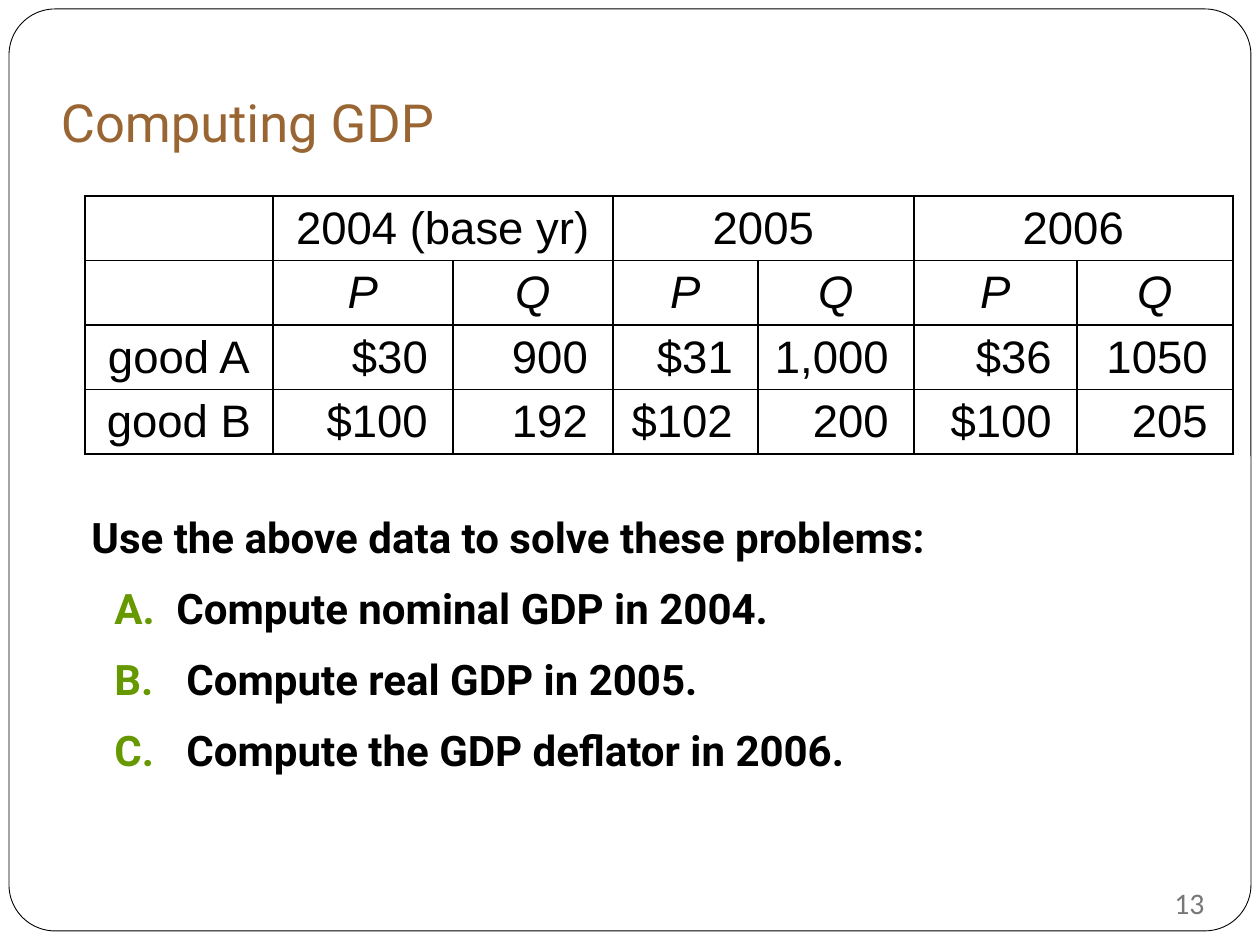
from itertools import pairwise

from lxml import etree
from pptx import Presentation
from pptx.dml.color import RGBColor
from pptx.enum.shapes import MSO_SHAPE
from pptx.enum.text import MSO_ANCHOR, PP_ALIGN
from pptx.oxml.ns import qn
from pptx.util import Emu, Pt

EMU_PER_PX = 914400 / 126
TITLE_ONLY = 5
LEFT, CENTER, RIGHT = PP_ALIGN.LEFT, PP_ALIGN.CENTER, PP_ALIGN.RIGHT
TOP, MIDDLE, BOTTOM = MSO_ANCHOR.TOP, MSO_ANCHOR.MIDDLE, MSO_ANCHOR.BOTTOM
ROUNDED = MSO_SHAPE.ROUNDED_RECTANGLE

BLACK = RGBColor(0x00, 0x00, 0x00)
WHITE = RGBColor(0xFF, 0xFF, 0xFF)
BROWN = RGBColor(0x99, 0x66, 0x33)
GREEN = RGBColor(0x66, 0x99, 0x00)
GRAY = RGBColor(0x77, 0x77, 0x77)

COLUMN_EDGES = [85, 273, 453, 613, 758, 914, 1077, 1233]
ROW_EDGES = [196, 259, 323, 387, 450]
GDP_ROWS = [
    ["", "2004 (base yr)", "", "2005", "", "2006", ""],
    ["", "P", "Q", "P", "Q", "P", "Q"],
    ["good A", "$30", "900", "$31", "1,000", "$36", "1050"],
    ["good B", "$100", "192", "$102", "200", "$100", "205"],
]
# Letter, question and left edge of the question inside the text box
PROBLEMS = [
    ("A.", "Compute nominal GDP in 2004.", 85),
    ("B.", "Compute real GDP in 2005.", 95),
    ("C.", "Compute the GDP deflator in 2006.", 95),
]
LETTER_LEFT = 23


def px(length):
    return Emu(round(length * EMU_PER_PX))


def write(paragraph, text, *, size, font, color=BLACK, bold=False,
          italic=False, align=LEFT):
    paragraph.alignment = align
    run = paragraph.add_run()
    run.text = text
    run.font.size = Pt(size)
    run.font.name = font
    run.font.bold = bold
    run.font.italic = italic
    run.font.color.rgb = color


def set_borders(cell, color, width):
    properties = cell._tc.get_or_add_tcPr()
    for position, side in enumerate(("lnL", "lnR", "lnT", "lnB")):
        line = etree.Element(qn(f"a:{side}"), w=str(Pt(width)))
        fill = etree.SubElement(line, qn("a:solidFill"))
        etree.SubElement(fill, qn("a:srgbClr"), val=str(color))
        properties.insert(position, line)


class SlideBuilder:
    """Holds the style and the slide that is being filled."""

    heading_font = "Roboto"
    table_font = "Arial"
    number_font = "Calibri"

    def __init__(self, slide):
        self.slide = slide

    def frame(self, left, top, width, height):
        """Add the rounded page border behind everything else."""
        shape = self.slide.shapes.add_shape(
            ROUNDED, px(left), px(top), px(width), px(height))
        shape.shadow.inherit = False
        shape.adjustments[0] = 0.05
        shape.fill.solid()
        shape.fill.fore_color.rgb = WHITE
        shape.line.color.rgb = BLACK
        shape.line.width = Pt(0.5)
        self.slide.shapes._spTree.insert(2, shape._element)

    def title(self, text, left, top, width, height):
        title = self.slide.shapes.title
        title.left, title.top = px(left), px(top)
        title.width, title.height = px(width), px(height)
        text_frame = title.text_frame
        text_frame.margin_left = text_frame.margin_right = px(8)
        text_frame.margin_bottom = px(18)
        text_frame.vertical_anchor = BOTTOM
        write(text_frame.paragraphs[0], text, size=30,
              font=self.heading_font, color=BROWN)

    def text_box(self, left, top, width, height, anchor=TOP):
        box = self.slide.shapes.add_textbox(
            px(left), px(top), px(width), px(height))
        text_frame = box.text_frame
        text_frame.word_wrap = True
        text_frame.vertical_anchor = anchor
        return text_frame

    def problems(self, heading, problems, *place):
        text_frame = self.text_box(*place)
        style = {"size": 24, "font": self.heading_font, "bold": True}
        write(text_frame.paragraphs[0], heading, **style)
        for letter, question, question_left in problems:
            paragraph = text_frame.add_paragraph()
            paragraph.space_before = Pt(10.5)
            paragraph.line_spacing = 1.05
            properties = paragraph._p.get_or_add_pPr()
            properties.set("marL", str(px(question_left)))
            properties.set("indent", str(px(LETTER_LEFT - question_left)))
            write(paragraph, f"{letter}\t", color=GREEN, **style)
            write(paragraph, question, **style)

    def page_number(self, number, *place):
        text_frame = self.text_box(*place, anchor=MIDDLE)
        write(text_frame.paragraphs[0], str(number), size=17,
              font=self.number_font, color=GRAY)

    def table(self, rows, column_edges, row_edges):
        """Add the table; each first-row label spans two columns."""
        left, top = column_edges[0], row_edges[0]
        table = self.slide.shapes.add_table(
            len(rows), len(rows[0]), px(left), px(top),
            px(column_edges[-1] - left), px(row_edges[-1] - top)).table
        table.first_row = table.horz_banding = False
        for column, (start, end) in zip(table.columns, pairwise(column_edges)):
            column.width = px(end - start)
        for row, (start, end) in zip(table.rows, pairwise(row_edges)):
            row.height = px(end - start)
        for row_index, row in enumerate(rows):
            for column_index, text in enumerate(row):
                is_number = row_index > 1 and column_index > 0
                self.table_cell(table.cell(row_index, column_index), text,
                                italic=row_index == 1,
                                align=RIGHT if is_number else CENTER)
        for column_index in range(1, len(rows[0]), 2):
            table.cell(0, column_index).merge(table.cell(0, column_index + 1))

    def table_cell(self, cell, text, *, italic, align):
        cell.fill.solid()
        cell.fill.fore_color.rgb = WHITE
        set_borders(cell, BLACK, 1)
        cell.vertical_anchor = MIDDLE
        cell.margin_top = cell.margin_bottom = px(5)
        cell.margin_left = px(6)
        cell.margin_right = px(25 if align == RIGHT else 6)
        if text:
            write(cell.text_frame.paragraphs[0], text, size=26,
                  font=self.table_font, italic=italic, align=align)


def main():
    presentation = Presentation()
    presentation.slide_width, presentation.slide_height = px(1260), px(945)
    layout = presentation.slide_layouts[TITLE_ONLY]
    builder = SlideBuilder(presentation.slides.add_slide(layout))
    builder.frame(9, 9, 1242, 922)
    builder.title("Computing GDP", 53, 26, 1134, 145)
    builder.problems("Use the above data to solve these problems:", PROBLEMS,
                     79, 505, 1134, 355)
    builder.page_number(13, 1162, 877, 84, 52)
    builder.table(GDP_ROWS, COLUMN_EDGES, ROW_EDGES)
    presentation.save("out.pptx")


if __name__ == "__main__":
    main()
